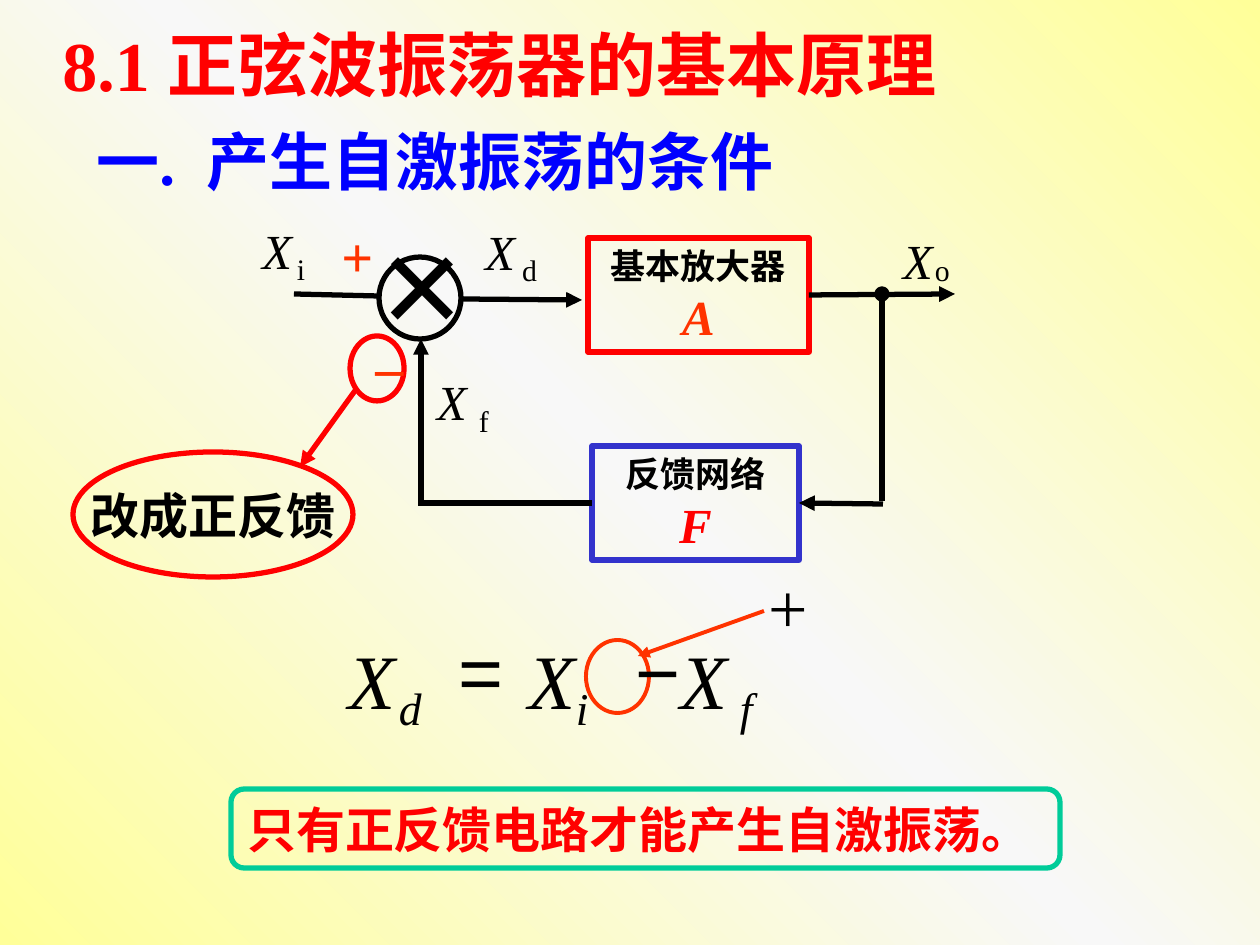
"""Build the slide on sine-wave oscillators and the self-oscillation condition."""
from copy import deepcopy
from dataclasses import dataclass
from typing import Optional

from lxml.etree import SubElement
from pptx import Presentation
from pptx.dml.color import RGBColor
from pptx.enum.shapes import MSO_CONNECTOR, MSO_SHAPE
from pptx.enum.text import MSO_ANCHOR, PP_ALIGN
from pptx.oxml.ns import qn
from pptx.shapes.autoshape import Shape
from pptx.slide import Slide
from pptx.text.text import TextFrame
from pptx.util import Emu, Pt

PIXELS_PER_INCH = 126


@dataclass(frozen=True)
class Theme:
    serif: str = "Times New Roman"
    sans: str = "Arial"
    black: str = "000000"
    red: str = "FF0000"
    orange: str = "FF3300"
    blue: str = "0000FF"
    indigo: str = "3333CC"
    green: str = "00CC99"
    edge: str = "FFFF99"
    centre: str = "F8F8F8"
    title: int = 40
    heading: int = 36
    body: int = 28
    block: int = 20
    sign: int = 32
    symbol: int = 28
    subscript: int = 17
    formula: int = 44
    formula_subscript: int = 26
    mixer: int = 80
    thick: float = 3
    thin: float = 2.25


THEME = Theme()


@dataclass(frozen=True)
class Line:
    text: str
    size: int
    color: str = THEME.black
    bold: bool = False
    italic: bool = False
    face: str = THEME.serif
    spacing: Optional[float] = None


@dataclass(frozen=True)
class Label:
    left: int
    top: int
    width: int
    height: int
    line: Line
    padded: bool = False


@dataclass(frozen=True)
class Outline:
    kind: MSO_SHAPE
    left: int
    top: int
    width: int
    height: int
    color: str
    weight: float = THEME.thick
    filled: bool = False
    lines: tuple[Line, ...] = ()
    align: PP_ALIGN = PP_ALIGN.CENTER
    wrap: bool = True


@dataclass(frozen=True)
class Wire:
    start: tuple[int, int]
    end: tuple[int, int]
    color: str = THEME.black
    weight: float = THEME.thick
    arrow: bool = False
    begin_side: Optional[tuple[str, int]] = None
    end_side: Optional[tuple[str, int]] = None


def px(count: int) -> Emu:
    """Turn pixels into EMU."""
    return Emu(round(count * 914400 / PIXELS_PER_INCH))


def symbol(left: int, top: int, text: str = "X") -> Label:
    """Describe an italic signal name in the diagram."""
    return Label(left, top, 31, 59, Line(text, THEME.symbol, italic=True))


def subscript(left: int, top: int, text: str) -> Label:
    """Describe an upright subscript in the diagram."""
    return Label(left, top, 16, 35, Line(text, THEME.subscript))


def formula_name(left: int, sub_left: int, sub: str) -> tuple[Label, Label]:
    """Describe a signal name and its subscript in the equation."""
    return (
        Label(left, 633, 47, 92, Line("X", THEME.formula, italic=True)),
        Label(sub_left, 680, 23, 54, Line(sub, THEME.formula_subscript, italic=True)),
    )


def block(left: int, top: int, width: int, name: str, letter: str, border: str, accent: str) -> Outline:
    """Describe a block of the loop with its name and gain letter."""
    lines = (
        Line(name, THEME.block, bold=True),
        Line(letter, THEME.symbol, accent, bold=True, italic=True),
    )
    return Outline(MSO_SHAPE.RECTANGLE, left, top, width, 114, border, lines=lines)


LABELS = (
    Label(50, 32, 969, 81, Line("8.1 正弦波振荡器的基本原理", THEME.title, THEME.red, bold=True, spacing=0.8), True),
    Label(84, 116, 795, 88, Line("一.  产生自激振荡的条件", THEME.heading, THEME.blue, bold=True), True),
    *formula_name(349, 399, "d"),
    *formula_name(528, 576, "i"),
    *formula_name(680, 740, "f"),
    Label(459, 624, 62, 92, Line("=", THEME.formula, face=THEME.sans)),
    Label(635, 624, 47, 92, Line("−", THEME.formula, face=THEME.sans)),
    Label(756, 557, 82, 97, Line("+", THEME.title), True),
    symbol(262, 221), subscript(297, 251, "i"),
    symbol(485, 222), subscript(522, 252, "d"),
    symbol(903, 231), subscript(935, 252, "o"),
    symbol(437, 372), subscript(479, 403, "f"),
    Label(329, 215, 129, 81, Line("+", THEME.sign, THEME.orange, bold=True), True),
    Label(349, 325, 129, 81, Line(" –", THEME.sign, THEME.orange, bold=True), True),
    Label(369, 189, 87, 181, Line("×", THEME.mixer, face=THEME.sans), True),
)

OUTLINES = {
    "amplifier": block(588, 238, 221, "基本放大器", "A", THEME.red, THEME.orange),
    "feedback": block(592, 446, 207, "反馈网络", "F", THEME.indigo, THEME.red),
    "mixer": Outline(MSO_SHAPE.OVAL, 379, 257, 82, 82, THEME.black),
    "output node": Outline(MSO_SHAPE.OVAL, 877, 289, 10, 10, THEME.black, filled=True),
    "minus ring": Outline(MSO_SHAPE.OVAL, 350, 336, 54, 65, THEME.red),
    "positive feedback": Outline(
        MSO_SHAPE.OVAL, 73, 452, 280, 125, THEME.red,
        lines=(Line("改成正反馈", THEME.body, bold=True),), wrap=False),
    "formula ring": Outline(MSO_SHAPE.OVAL, 586, 640, 63, 73, THEME.orange, THEME.thin),
    "conclusion": Outline(
        MSO_SHAPE.FLOWCHART_ALTERNATE_PROCESS, 231, 789, 829, 79, THEME.green,
        lines=(Line("只有正反馈电路才能产生自激振荡。", THEME.body, THEME.red, bold=True),),
        align=PP_ALIGN.LEFT),
}

WIRES = (
    Wire((294, 294), (377, 296)),
    Wire((462, 299), (582, 300), arrow=True),
    Wire((809, 295), (955, 294), arrow=True, begin_side=("amplifier", 3)),
    Wire((882, 294), (882, 501)),
    Wire((883, 504), (799, 503), arrow=True, end_side=("feedback", 3)),
    Wire((592, 503), (418, 503), begin_side=("feedback", 1)),
    Wire((421, 504), (421, 339), arrow=True),
    Wire((357, 388), (300, 467), THEME.red, arrow=True),
    Wire((764, 611), (638, 656), THEME.orange, THEME.thin, arrow=True),
)


def paint_background(page: Slide) -> None:
    """Fill the page with a diagonal gradient of three stops."""
    fill = page.background.fill
    fill.gradient()
    fill.gradient_angle = 225
    stops = page.element.xpath(".//a:gsLst")[0]
    stops.insert(1, deepcopy(stops[0]))
    for stop, color, position in zip(
            fill.gradient_stops, (THEME.edge, THEME.centre, THEME.edge), (0, 0.5, 1)):
        stop.color.rgb = RGBColor.from_string(color)
        stop.position = position


def write_lines(frame: TextFrame, lines: tuple[Line, ...], align: PP_ALIGN) -> None:
    """Write one paragraph for each line."""
    for index, line in enumerate(lines):
        para = frame.add_paragraph() if index else frame.paragraphs[0]
        para.text = line.text
        para.alignment = align
        para.line_spacing = line.spacing
        font = para.font
        font.name, font.size = line.face, Pt(line.size)
        font.bold, font.italic = line.bold, line.italic
        font.color.rgb = RGBColor.from_string(line.color)


def draw_label(page: Slide, label: Label) -> None:
    """Draw a text box."""
    box = page.shapes.add_textbox(px(label.left), px(label.top), px(label.width), px(label.height))
    frame = box.text_frame
    frame.word_wrap = True
    if not label.padded:
        frame.margin_left = frame.margin_right = frame.margin_top = frame.margin_bottom = 0
    write_lines(frame, (label.line,), PP_ALIGN.LEFT)


def draw_outline(page: Slide, outline: Outline) -> Shape:
    """Draw an outlined shape with its centred lines of text."""
    shape = page.shapes.add_shape(
        outline.kind, px(outline.left), px(outline.top), px(outline.width), px(outline.height))
    shape.shadow.inherit = False
    color = RGBColor.from_string(outline.color)
    if outline.filled:
        shape.fill.solid()
        shape.fill.fore_color.rgb = color
    else:
        shape.fill.background()
    shape.line.color.rgb = color
    shape.line.width = Pt(outline.weight)
    shape.text_frame.word_wrap = outline.wrap
    shape.text_frame.vertical_anchor = MSO_ANCHOR.MIDDLE
    write_lines(shape.text_frame, outline.lines, outline.align)
    return shape


def draw_wire(page: Slide, wire: Wire, shapes: dict[str, Shape]) -> None:
    """Draw a straight connector and join it to its blocks."""
    connector = page.shapes.add_connector(
        MSO_CONNECTOR.STRAIGHT, *map(px, wire.start), *map(px, wire.end))
    for side, connect in ((wire.begin_side, connector.begin_connect), (wire.end_side, connector.end_connect)):
        if side:
            connect(shapes[side[0]], side[1])
    connector.line.color.rgb = RGBColor.from_string(wire.color)
    connector.line.width = Pt(wire.weight)
    if wire.arrow:
        SubElement(connector.line._get_or_add_ln(), qn("a:tailEnd"), type="triangle")
    SubElement(connector.element.spPr, qn("a:effectLst"))


def main() -> None:
    """Build and save the deck."""
    deck = Presentation()
    deck.slide_width, deck.slide_height = px(1260), px(945)
    page = deck.slides.add_slide(deck.slide_layouts[6])
    paint_background(page)
    shapes = {name: draw_outline(page, outline) for name, outline in OUTLINES.items()}
    for wire in WIRES:
        draw_wire(page, wire, shapes)
    for label in LABELS:
        draw_label(page, label)
    deck.save("out.pptx")


if __name__ == "__main__":
    main()
